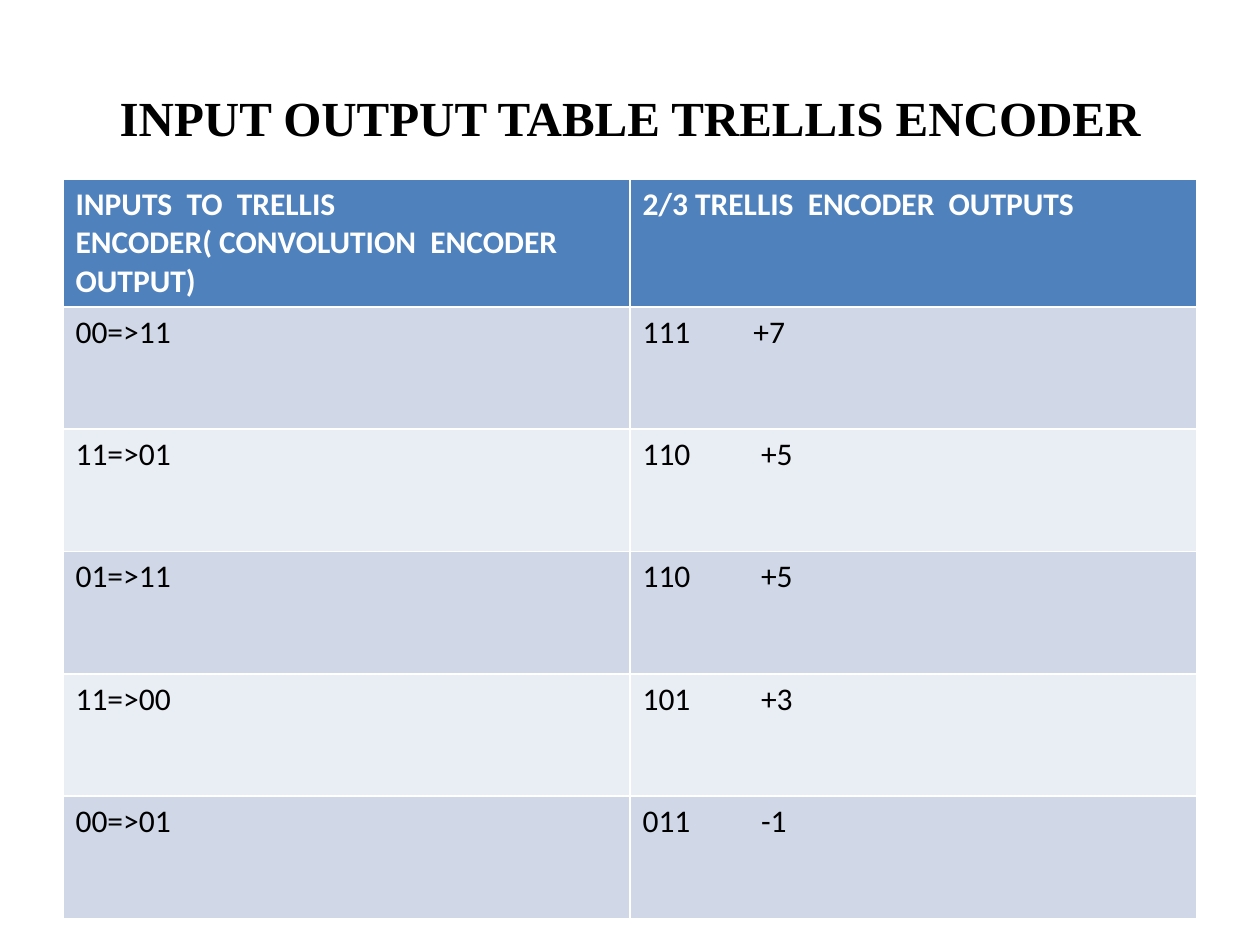
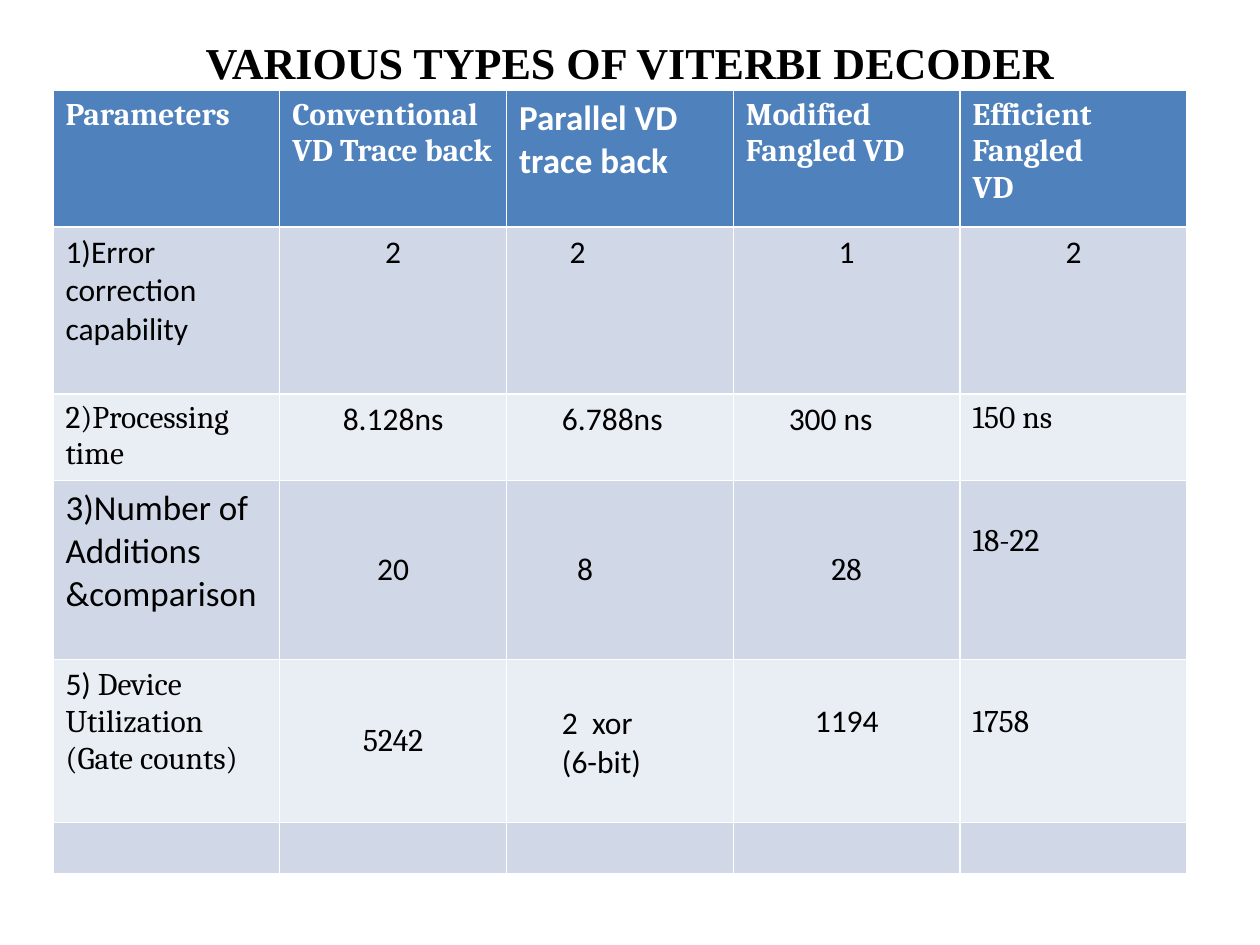
"""Build two slides that tabulate a trellis encoder and several Viterbi decoders."""

from lxml.etree import SubElement
from pptx import Presentation
from pptx.dml.color import RGBColor
from pptx.enum.text import MSO_ANCHOR, MSO_AUTO_SIZE, PP_ALIGN
from pptx.oxml.ns import qn
from pptx.util import Inches, Pt

BLACK = RGBColor(0x00, 0x00, 0x00)
WHITE = RGBColor(0xFF, 0xFF, 0xFF)
HEADER_BLUE = RGBColor(0x4F, 0x81, 0xBD)
BANDS = [RGBColor(0xD0, 0xD8, 0xE8), RGBColor(0xE9, 0xED, 0xF4)]

presentation = Presentation()
presentation.slide_width = Inches(10)
presentation.slide_height = Inches(7.5)
COLUMN = presentation.slide_width / 100
ROW = presentation.slide_height / 100


def write(holder, text, font="Calibri", size=18, color=BLACK, bold=False,
          align=PP_ALIGN.LEFT, anchor=MSO_ANCHOR.TOP, indent=0, tab=0,
          top=0.05, bottom=0.05, lead=""):
    """Write lines of text into a cell or text frame with one format."""
    holder.vertical_anchor = anchor
    holder.margin_top, holder.margin_bottom = Inches(top), Inches(bottom)
    frame = getattr(holder, "text_frame", holder)
    frame.text = lead + text if not lead else lead
    if lead:
        frame.paragraphs[0].runs[0].font.name = "Calibri"
        first, *others = text.split("\n")
        frame.paragraphs[0].add_run().text = first
        for line in others:
            frame.add_paragraph().text = line
    for paragraph in frame.paragraphs:
        paragraph.alignment = align
        properties = paragraph._p.get_or_add_pPr()
        if indent:
            properties.set("marL", str(Inches(indent)))
            properties.set("indent", "0")
        if tab:
            stops = SubElement(properties, qn("a:tabLst"))
            SubElement(stops, qn("a:tab"), pos=str(Inches(tab)), algn="l")
        for run in paragraph.runs:
            run.font.name = run.font.name or font
            run.font.size = Pt(size)
            run.font.bold = bold
            run.font.color.rgb = color


CAMBRIA = dict(font="Cambria")
CENTER = dict(align=PP_ALIGN.CENTER)
MIDDLE = dict(anchor=MSO_ANCHOR.MIDDLE)
RAISED = dict(anchor=MSO_ANCHOR.MIDDLE, bottom=0.35)
INDENTED = dict(indent=0.34)

encoder_rows = [[("INPUTS  TO  TRELLIS\vENCODER( CONVOLUTION  ENCODER  OUTPUT)", {}),
                 ("2/3 TRELLIS  ENCODER  OUTPUTS", {})]]
for transition, bits, level, tab in [
    ("00=>11", "111", "+7", 0.88),
    ("11=>01", "110", "+5", 0.94),
    ("01=>11", "110", "+5", 0.94),
    ("11=>00", "101", "+3", 0.94),
    ("00=>01", "011", "-1", 0.94),
]:
    encoder_rows.append([(transition, {}), (f"{bits}\t{level}", dict(tab=tab))])

decoder_rows = [
    [("Parameters", CAMBRIA),
     ("Conventional\nVD Trace back", CAMBRIA),
     ("Parallel VD trace back", dict(size=20)),
     ("Modified\nFangled VD", CAMBRIA),
     ("Efficient\nFangled\nVD", CAMBRIA)],
    [("1)Error correction\ncapability", {}),
     ("2", CENTER), ("2", dict(indent=0.4)), ("1", CENTER), ("2", CENTER)],
    [("2)Processing time", CAMBRIA),
     ("8.128ns", CENTER), ("6.788ns", INDENTED), ("300 ns", INDENTED),
     ("150 ns", CAMBRIA)],
    [("3)Number of\nAdditions &comparison", dict(size=20)),
     ("20", CENTER | MIDDLE),
     ("8", MIDDLE | dict(indent=0.46)),
     ("28", CAMBRIA | CENTER | MIDDLE),
     ("18-22", CAMBRIA | dict(top=0.34))],
    [(" Device Utilization\n(Gate counts)", CAMBRIA | dict(lead="5)")),
     ("5242", CAMBRIA | CENTER | MIDDLE),
     ("2  xor\n(6-bit)", INDENTED | dict(top=0.36)),
     ("1194", CENTER | RAISED),
     ("1758", CAMBRIA | RAISED)],
    [("", {})] * 5,
]

slides = [
    dict(title="INPUT OUTPUT TABLE TRELLIS ENCODER", title_size=28, title_rows=16.67,
         left=5, top=18.93, heights=[13.5] + [12.95] * 5, cells=encoder_rows),
    dict(title="VARIOUS TYPES OF VITERBI DECODER", title_size=25.2, title_rows=5,
         left=4.2, top=9.6, heights=[14.4, 17.67, 9.2, 18.93, 17.25, 5.4],
         cells=decoder_rows),
]

for content in slides:
    slide = presentation.slides.add_slide(presentation.slide_layouts[5])
    title = slide.shapes.title
    title.left, title.top = int(5 * COLUMN), int(4 * ROW)
    title.width, title.height = int(90 * COLUMN), int(content["title_rows"] * ROW)
    title.text_frame.auto_size = MSO_AUTO_SIZE.NONE
    write(title.text_frame, content["title"], font="Times New Roman",
          size=content["title_size"], bold=True, **CENTER, **MIDDLE)

    cells, heights = content["cells"], content["heights"]
    table = slide.shapes.add_table(
        len(cells), len(cells[0]), int(content["left"] * COLUMN),
        int(content["top"] * ROW), int(90 * COLUMN), int(sum(heights) * ROW)).table
    for row_index, row_cells in enumerate(cells):
        table.rows[row_index].height = int(heights[row_index] * ROW)
        is_header = row_index == 0
        for column_index, (text, text_format) in enumerate(row_cells):
            cell = table.cell(row_index, column_index)
            cell.fill.solid()
            cell.fill.fore_color.rgb = HEADER_BLUE if is_header else BANDS[(row_index - 1) % 2]
            write(cell, text, color=WHITE if is_header else BLACK,
                  bold=is_header, **text_format)

presentation.save("out.pptx")
